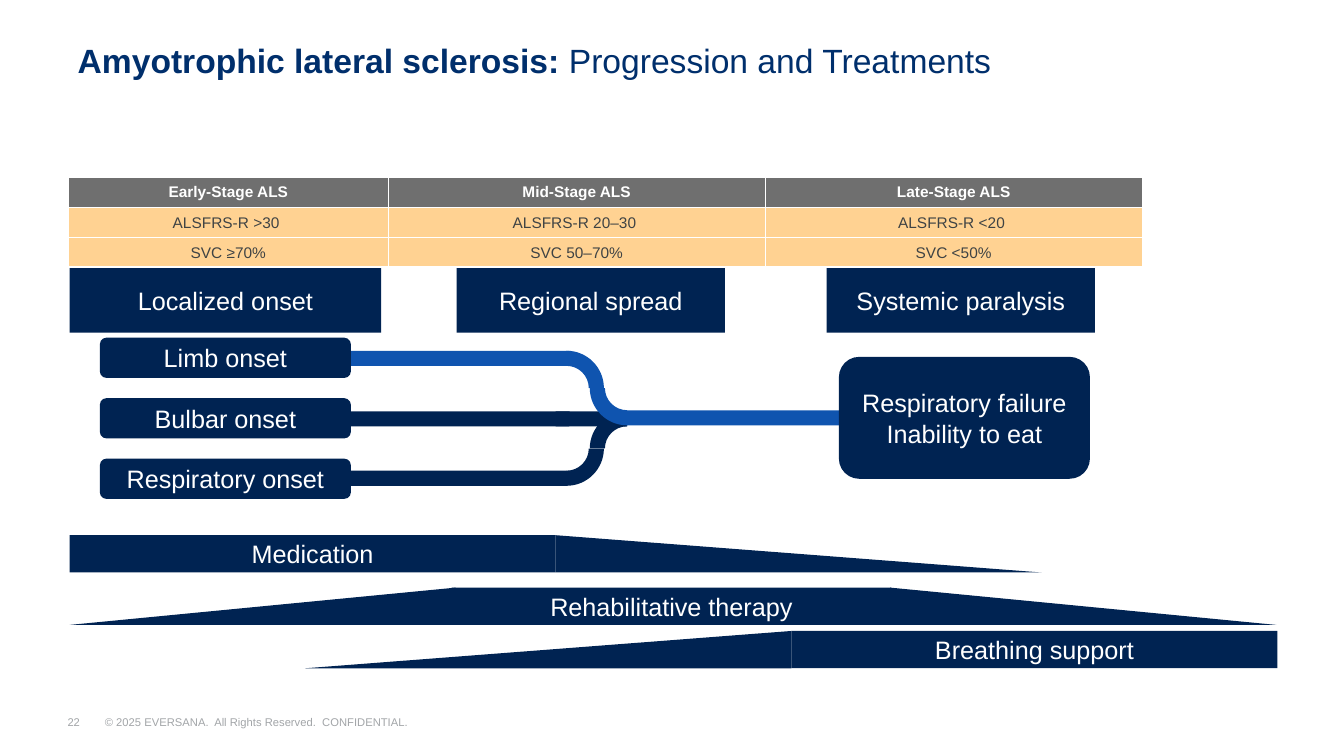
from dataclasses import dataclass
from math import cos, radians, sin

from lxml.etree import SubElement
from pptx import Presentation
from pptx.dml.color import RGBColor
from pptx.enum.shapes import MSO_SHAPE as Kind
from pptx.enum.text import MSO_ANCHOR as Anchor, MSO_AUTO_SIZE as Fit, PP_ALIGN as Align
from pptx.oxml.ns import qn
from pptx.util import Inches, Pt

NAVY, BLUE, WHITE = "002352", "0F54AF", "FFFFFF"
HEAD, BODY, INK = "6F6F6F", "FFD292", "3F4344"
TITLE, GREY = "002F6C", "A2A5A8"


@dataclass
class Part:
    kind: Kind
    left: float
    top: float
    width: float
    height: float
    text: str = ""
    fill: str = NAVY
    flip: bool = False


@dataclass
class Bend:
    x: float
    y: float
    start: int
    fill: str


def paint(fill, color: str) -> None:
    fill.solid()
    fill.fore_color.rgb = RGBColor.from_string(color)


def write(frame, text: str, *, size: float = 18, color: str = WHITE, bold: bool = False,
          align=Align.CENTER, anchor=None, inset=None, lead: str = "") -> None:
    """Fill a frame, one paragraph per line, with an optional bold lead."""
    frame.word_wrap = True
    if anchor is not None:
        frame.vertical_anchor = anchor
    if inset:
        (frame.margin_left, frame.margin_top,
         frame.margin_right, frame.margin_bottom) = map(Inches, inset)
    for i, line in enumerate(text.split("\n")):
        para = frame.add_paragraph() if i else frame.paragraphs[0]
        para.alignment = align
        for words, heavy in ((lead, True), (line, bold)):
            if words:
                run = para.add_run()
                run.text = words
                run.font.name, run.font.size, run.font.bold = "Arial", Pt(size), heavy
                run.font.color.rgb = RGBColor.from_string(color)


def style(shape, color: str) -> None:
    shape.shadow.inherit = False
    paint(shape.fill, color)
    shape.line.fill.background()


def draw(slide, part: Part) -> None:
    box = map(Inches, (part.left, part.top, part.width, part.height))
    shape = slide.shapes.add_shape(part.kind, *box)
    style(shape, part.fill)
    if part.flip:
        shape.element.spPr.xfrm.set("flipH", "1")
    if part.text:
        write(shape.text_frame, part.text, anchor=Anchor.MIDDLE)


def curve(slide, bend: Bend, outer: float = 0.37, inner: float = 0.22) -> None:
    """Draw a quarter ring that turns clockwise from the start angle."""
    c, s, k = cos(radians(bend.start)), sin(radians(bend.start)), 0.55
    arc = [(c * a - s * b, s * a + c * b) for a, b in ((1, 0), (1, k), (k, 1), (0, 1))]
    ring = [(outer, p) for p in arc] + [(inner, p) for p in reversed(arc)]
    spots = [(Inches(bend.x + r * x), Inches(bend.y + r * y)) for r, (x, y) in ring]
    pen = slide.shapes.build_freeform(*spots[0])
    pen.add_line_segments(spots[1:], close=True)
    shape = pen.convert_to_shape()
    style(shape, bend.fill)
    # Turn the three steps of each arc into one Bezier segment
    lines = list(shape.element.iter(qn("a:lnTo")))
    for trio in (lines[:3], lines[4:]):
        trio[0].tag = qn("a:cubicBezTo")
        for line in trio[1:]:
            trio[0].append(line[0])
            line.getparent().remove(line)


def edge(cell, last: bool) -> None:
    props = cell._tc.get_or_add_tcPr()
    for i, tag in enumerate(("a:lnL", "a:lnR", "a:lnT", "a:lnB")):
        width = 3 if last and tag == "a:lnB" else 1
        line = SubElement(props, qn(tag), w=str(Pt(width)))
        SubElement(SubElement(line, qn("a:solidFill")), qn("a:srgbClr"), val=WHITE)
        props.insert(i, line)


def stages(slide, rows: list, widths: list) -> None:
    box = map(Inches, (0.68, 1.76, sum(widths), 0.3 * len(rows)))
    table = slide.shapes.add_table(len(rows), len(widths), *box).table
    for col, width in zip(table.columns, widths):
        col.width = Inches(width)
    for r, row in enumerate(rows):
        for c, text in enumerate(row):
            cell, top = table.cell(r, c), r == 0
            cell.vertical_anchor = Anchor.MIDDLE
            paint(cell.fill, HEAD if top else BODY)
            edge(cell, r == len(rows) - 1)
            write(cell.text_frame, text, size=11, color=WHITE if top else INK, bold=top)


def main() -> None:
    deck = Presentation()
    deck.slide_width, deck.slide_height = Inches(13.33), Inches(7.5)
    slide = deck.slides.add_slide(deck.slide_layouts[5])

    # Title
    title = slide.shapes.title
    title.left, title.top, title.width, title.height = map(Inches, (0.67, 0.38, 12, 0.44))
    title.text_frame.auto_size = Fit.NONE
    write(title.text_frame, "Progression and Treatments", size=24, color=TITLE,
          align=Align.LEFT, anchor=Anchor.MIDDLE, inset=(0.1, 0, 0, 0),
          lead="Amyotrophic lateral sclerosis: ")

    # Footer
    for left, width, text in (
            (0.67, 0.54, "22"),
            (1.04, 4.46, "© 2025 EVERSANA.  All Rights Reserved.  CONFIDENTIAL.")):
        note = slide.shapes.add_textbox(*map(Inches, (left, 6.99, width, 0.34)))
        write(note.text_frame, text, size=8, color=GREY, align=Align.LEFT,
              anchor=Anchor.MIDDLE, inset=(0, 0.07, 0.13, 0.07))

    # Stage table and phase headings
    stages(slide, [
        ["Early-Stage ALS", "Mid-Stage ALS", "Late-Stage ALS"],
        ["ALSFRS-R >30 ", "ALSFRS-R 20–30 ", "ALSFRS-R <20 "],
        ["SVC ≥70%", "SVC 50–70%", "SVC <50%"],
    ], [3.17, 3.74, 3.74])
    for left, width, text in ((0.69, 3.09, "Localized onset"),
                              (8.2, 2.66, "Systemic paralysis"),
                              (4.53, 2.66, "Regional spread")):
        draw(slide, Part(Kind.RECTANGLE, left, 2.66, width, 0.64, text))

    # Merging paths, navy below blue
    x1, x2, y1, y2 = 5.62, 6.22, 3.85, 4.45
    for item in (
            Bend(x1, y2, 0, NAVY), Bend(x2, y2, 180, NAVY),
            Part(Kind.RECTANGLE, 5.51, 4.08, 0.71, 0.15),
            Part(Kind.CHEVRON, 3.01, 4.08, 2.71, 0.15),
            Bend(x1, y1, -90, BLUE), Bend(x2, y1, 90, BLUE),
            Part(Kind.CHEVRON, 3.01, 3.48, 2.71, 0.15, fill=BLUE),
            Part(Kind.CHEVRON, 2.99, 4.67, 2.71, 0.15),
            Part(Kind.PENTAGON, 6.22, 4.07, 4.59, 0.15, fill=BLUE)):
        if isinstance(item, Bend):
            curve(slide, item)
        else:
            draw(slide, item)

    # Onset types and outcome
    for top, text in ((3.95, "Bulbar onset"), (3.35, "Limb onset"),
                      (4.55, "Respiratory onset")):
        draw(slide, Part(Kind.ROUNDED_RECTANGLE, 0.99, top, 2.49, 0.4, text))
    draw(slide, Part(Kind.ROUNDED_RECTANGLE, 8.32, 3.54, 2.49, 1.21,
                     "Respiratory failure\nInability to eat"))

    # Treatment bars with tapering ends
    for kind, left, top, width, text, flip in (
            (Kind.RECTANGLE, 0.69, 5.31, 4.82, "Medication", False),
            (Kind.RIGHT_TRIANGLE, 5.51, 5.31, 4.82, "", False),
            (Kind.RECTANGLE, 7.85, 6.26, 4.82, "Breathing support", False),
            (Kind.RIGHT_TRIANGLE, 3.03, 6.26, 4.82, "", True),
            (Kind.RECTANGLE, 4.48, 5.83, 4.36, "Rehabilitative therapy", False),
            (Kind.RIGHT_TRIANGLE, 8.83, 5.83, 3.83, "", False),
            (Kind.RIGHT_TRIANGLE, 0.69, 5.83, 3.83, "", True)):
        draw(slide, Part(kind, left, top, width, 0.37, text, flip=flip))

    deck.save("out.pptx")


if __name__ == "__main__":
    main()
